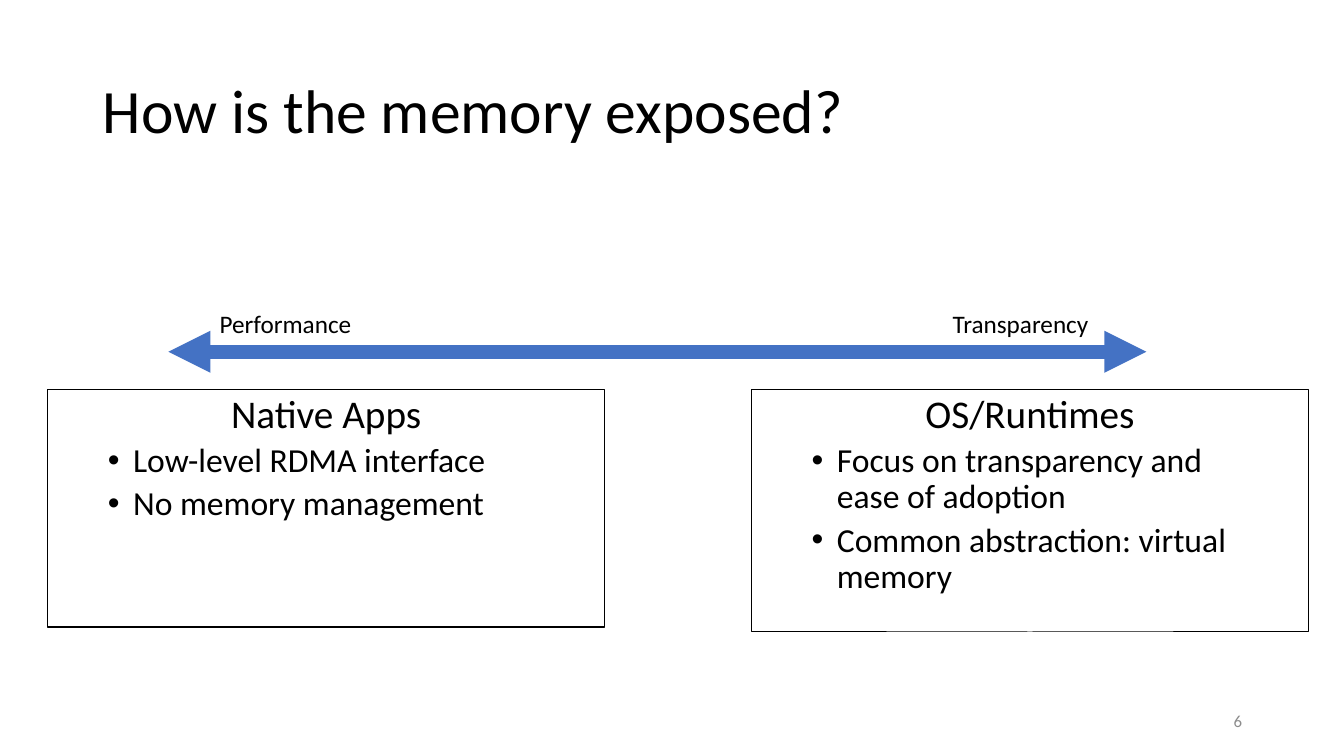
import lxml.etree
import pptx
import pptx.dml.color
import pptx.enum.shapes
import pptx.enum.text
import pptx.oxml.ns
import pptx.util

COLORS = {"ink": "000000", "arrow": "4472C4", "number": "8C8C8C"}
FONT = "Calibri"
WIDTH = pptx.util.Inches(13.33)
HEIGHT = pptx.util.Inches(7.5)
ALIGN = pptx.enum.text.PP_ALIGN
ANCHOR = pptx.enum.text.MSO_ANCHOR
FIT = pptx.enum.text.MSO_AUTO_SIZE

CARD_TOP = 51.47
CARD_WIDTH = 41.48
ARROW_LEVEL = 46.53
LABEL_TOP = 40.13
LINE_HEIGHT = 5.33


def across(percent):
    return round(WIDTH * percent / 100)


def down(percent):
    return round(HEIGHT * percent / 100)


def area(left, top, width, height):
    """Turn percentages of the slide into a position and a size."""
    return across(left), down(top), across(width), down(height)


def rgb(name):
    return pptx.dml.color.RGBColor.from_string(COLORS[name])


def move(placeholder, bounds):
    placeholder.left, placeholder.top, placeholder.width, placeholder.height = bounds


def add_child(parent, tag, **attributes):
    return lxml.etree.SubElement(parent, pptx.oxml.ns.qn(tag), **attributes)


def write(paragraph, text, size, color="ink", align=ALIGN.LEFT, spacing=None, before=0):
    paragraph.text = text
    paragraph.alignment = align
    paragraph.line_spacing = spacing
    paragraph.space_before = pptx.util.Pt(before)
    for run in paragraph.runs:
        run.font.name = FONT
        run.font.size = pptx.util.Pt(size)
        run.font.color.rgb = rgb(color)


def add_bullet(paragraph):
    paragraph.level = 1
    properties = paragraph._p.get_or_add_pPr()
    properties.set("marL", str(pptx.util.Inches(0.75)))
    properties.set("indent", str(pptx.util.Inches(-0.25)))
    add_child(properties, "a:buFont", typeface="Arial")
    add_child(properties, "a:buChar", char="•")


def fill_title(title, text):
    move(title, area(6.9, 5.33, 86.27, 19.33))
    title.text_frame.auto_size = FIT.NONE
    title.text_frame.vertical_anchor = ANCHOR.MIDDLE
    write(title.text_frame.paragraphs[0], text, 44, spacing=0.9)


def fill_card(card, left, height, heading, points):
    move(card, area(left, CARD_TOP, CARD_WIDTH, height))
    card.line.color.rgb = rgb("ink")
    card.line.width = pptx.util.Pt(0.75)
    frame = card.text_frame
    frame.auto_size = FIT.NONE
    frame.vertical_anchor = ANCHOR.TOP
    write(frame.paragraphs[0], heading, 28, align=ALIGN.CENTER, spacing=0.9, before=10)
    properties = frame.paragraphs[0]._p.get_or_add_pPr()
    properties.set("marL", "0")
    properties.set("indent", "0")
    add_child(properties, "a:buNone")
    for point in points:
        paragraph = frame.add_paragraph()
        write(paragraph, point, 24, spacing=0.9, before=5)
        add_bullet(paragraph)


def add_label(slide, bounds, text, size, wrap=False, **text_format):
    frame = slide.shapes.add_textbox(*bounds).text_frame
    frame.word_wrap = wrap
    frame.auto_size = FIT.NONE if wrap else FIT.SHAPE_TO_FIT_TEXT
    frame.vertical_anchor = ANCHOR.MIDDLE if wrap else ANCHOR.TOP
    write(frame.paragraphs[0], text, size, **text_format)


def add_double_arrow(slide, left, right, level):
    arrow = slide.shapes.add_connector(
        pptx.enum.shapes.MSO_CONNECTOR.STRAIGHT,
        across(left), down(level), across(right), down(level))
    arrow.line.color.rgb = rgb("arrow")
    arrow.line.width = pptx.util.Pt(10)
    outline = arrow.line._get_or_add_ln()
    for end in ("a:headEnd", "a:tailEnd"):
        add_child(outline, end, type="triangle")
    add_child(arrow._element.spPr, "a:effectLst")


def main():
    deck = pptx.Presentation()
    deck.slide_width, deck.slide_height = WIDTH, HEIGHT
    slide = deck.slides.add_slide(deck.slide_layouts.get_by_name("Two Content"))
    title, native_apps, runtimes = slide.placeholders

    fill_title(title, "How is the memory exposed?")
    fill_card(native_apps, 3.53, 31.47, "Native Apps",
              ["Low-level RDMA interface", "No memory management"])
    fill_card(runtimes, 55.89, 32.13, "OS/Runtimes",
              ["Focus on transparency and\vease of adoption",
               "Common abstraction: virtual memory"])
    add_double_arrow(slide, 12.53, 85.3, ARROW_LEVEL)
    add_label(slide, area(15.6, LABEL_TOP, 11.4, LINE_HEIGHT), "Performance", 18)
    add_label(slide, area(70.14, LABEL_TOP, 11.7, LINE_HEIGHT), "Transparency", 18)
    add_label(slide, area(70.67, 92.67, 22.5, LINE_HEIGHT), "6", 12,
              wrap=True, color="number", align=ALIGN.RIGHT)
    deck.save("out.pptx")


if __name__ == "__main__":
    main()
